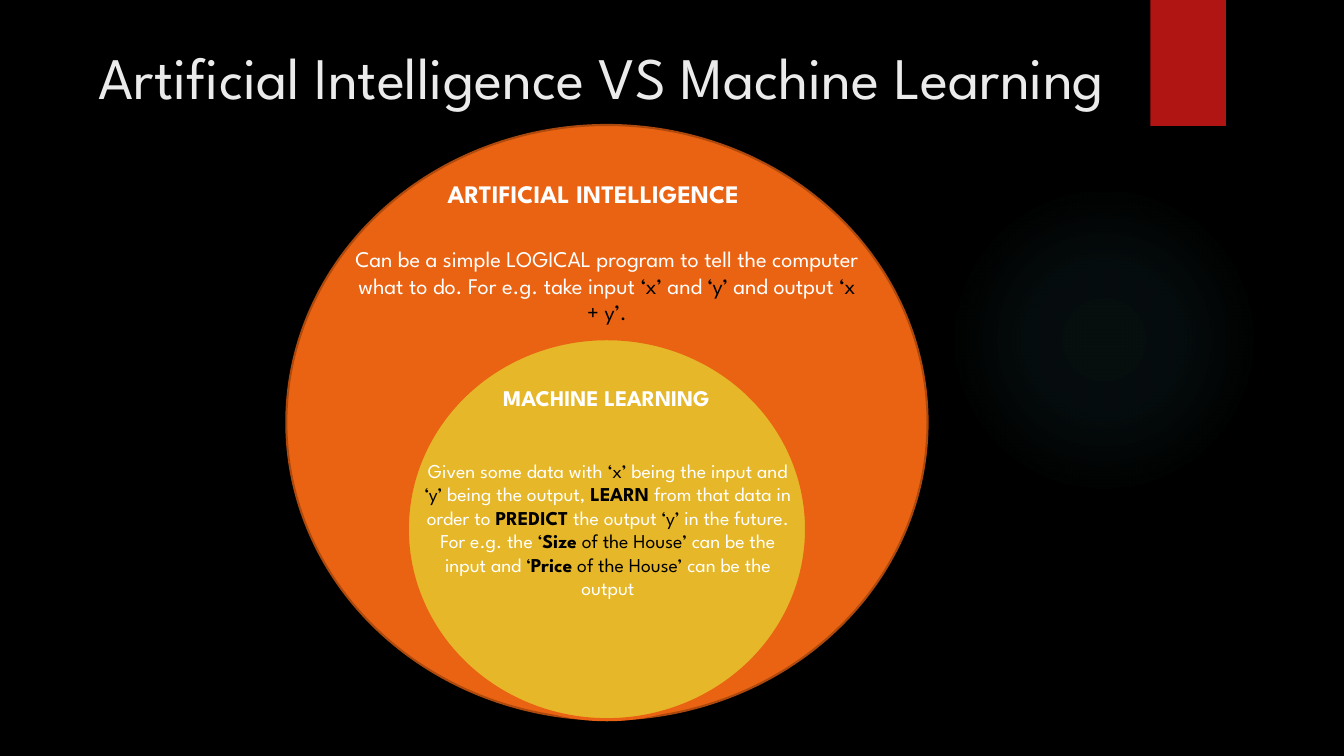
from dataclasses import dataclass

from lxml.etree import SubElement
from pptx import Presentation
from pptx.dml.color import RGBColor
from pptx.enum.shapes import MSO_SHAPE
from pptx.enum.text import MSO_ANCHOR, PP_ALIGN
from pptx.oxml.ns import qn
from pptx.shapes.autoshape import Shape
from pptx.slide import Slide
from pptx.text.text import _Paragraph
from pptx.util import Inches, Pt

FONT = "League Spartan"
COLORS = {
    "black": "000000",
    "white": "FFFFFF",
    "title": "EBEBEB",
    "glow": "50B9C1",
    "red": "B01513",
    "orange": "EA6312",
    "rust": "AD490D",
    "yellow": "E6B729",
}


@dataclass
class Block:
    left: float
    top: float
    width: float
    height: float


@dataclass
class Figure(Block):
    preset: MSO_SHAPE
    fill: str
    line: str = ""
    line_width: float = 0


@dataclass
class Span:
    text: str
    color: str = "white"
    bold: bool = False


@dataclass
class Label(Block):
    size: float
    spans: list[Span]


FIGURES = [
    Figure(11.41, 0, 0.75, 1.25, MSO_SHAPE.RECTANGLE, "red"),
    Figure(2.84, 1.24, 6.36, 5.9, MSO_SHAPE.OVAL, "orange", "rust", 1.5),
    Figure(4.04, 3.36, 3.96, 3.78, MSO_SHAPE.OVAL, "yellow", "orange", 2.25),
]

LABELS = [
    Label(3.76, 1.72, 4.25, 0.4, 18, [Span("ARTIFICIAL INTELLIGENCE", bold=True)]),
    Label(3.37, 2.38, 5.3, 0.91, 16, [
        Span("Can be a simple LOGICAL program to tell the computer what to do. "
             "For e.g. take input "),
        Span("‘x’ ", "black"),
        Span("and "),
        Span("‘y’", "black"),
        Span(" and output "),
        Span("‘x + y’.", "black"),
    ]),
    Label(4.51, 3.76, 3.01, 0.37, 16, [Span("MACHINE LEARNING", bold=True)]),
    Label(4.05, 4.5, 3.96, 1.75, 14, [
        Span("Given some data with "),
        Span("‘x’ ", "black"),
        Span("being the input and"),
        Span(" ‘y’ ", "black"),
        Span("being the output, "),
        Span("LEARN", "black", True),
        Span(" from that data in order to "),
        Span("PREDICT", "black", True),
        Span(" the output"),
        Span(" ‘y’", "black"),
        Span(" in the future. For e.g. the "),
        Span("‘", "black"),
        Span("Size", "black", True),
        Span(" of the House’", "black"),
        Span(" can be the input and "),
        Span("‘", "black"),
        Span("Price", "black", True),
        Span(" of the House’ ", "black"),
        Span("can be the output"),
    ]),
]


def rgb(name: str) -> RGBColor:
    return RGBColor.from_string(COLORS[name])


def add_text(para: _Paragraph, text: str, *, size: float, color: str,
             bold: bool = False) -> None:
    run = para.add_run()
    run.text = text
    run.font.name = FONT
    run.font.size = Pt(size)
    run.font.bold = bold
    run.font.color.rgb = rgb(color)


def add_figure(slide: Slide, figure: Figure) -> Shape:
    shape = slide.shapes.add_shape(
        figure.preset, Inches(figure.left), Inches(figure.top),
        Inches(figure.width), Inches(figure.height))
    shape.shadow.inherit = False
    shape.fill.solid()
    shape.fill.fore_color.rgb = rgb(figure.fill)
    if figure.line:
        shape.line.color.rgb = rgb(figure.line)
        shape.line.width = Pt(figure.line_width)
    else:
        shape.line.fill.background()
    return shape


def add_glow(slide: Slide) -> None:
    shape = add_figure(slide, Figure(9.41, 1.83, 3.08, 3.08, MSO_SHAPE.OVAL, "glow"))
    shape.fill.gradient()
    gradient = shape.element.spPr.find(qn("a:gradFill"))
    for child in list(gradient):
        gradient.remove(child)
    stops = SubElement(gradient, qn("a:gsLst"))
    for position, opacity in ((0, 7), (36, 6), (69, 0)):
        stop = SubElement(stops, qn("a:gs"), pos=str(position * 1000))
        color = SubElement(stop, qn("a:srgbClr"), val=COLORS["glow"])
        SubElement(color, qn("a:alpha"), val=str(opacity * 1000))
    circle = SubElement(gradient, qn("a:path"), path="circle")
    SubElement(circle, qn("a:fillToRect"), l="50000", t="50000", r="50000", b="50000")


def add_label(slide: Slide, label: Label) -> None:
    box = slide.shapes.add_textbox(
        Inches(label.left), Inches(label.top), Inches(label.width), Inches(label.height))
    box.text_frame.word_wrap = True
    para = box.text_frame.paragraphs[0]
    para.alignment = PP_ALIGN.CENTER
    for span in label.spans:
        add_text(para, span.text, size=label.size, color=span.color, bold=span.bold)


def set_title(slide: Slide, text: str) -> None:
    title = slide.shapes.title
    title.left, title.top = Inches(0.88), Inches(0.35)
    title.width, title.height = Inches(10.29), Inches(1.53)
    title.text_frame.word_wrap = True
    title.text_frame.vertical_anchor = MSO_ANCHOR.TOP
    para = title.text_frame.paragraphs[0]
    para.alignment = PP_ALIGN.LEFT
    add_text(para, text, size=42, color="title")


def main() -> None:
    deck = Presentation()
    deck.slide_width, deck.slide_height = Inches(13.33), Inches(7.5)
    slide = deck.slides.add_slide(deck.slide_layouts[5])
    slide.background.fill.solid()
    slide.background.fill.fore_color.rgb = rgb("black")
    set_title(slide, "Artificial Intelligence VS Machine Learning")
    add_glow(slide)
    for figure in FIGURES:
        add_figure(slide, figure)
    for label in LABELS:
        add_label(slide, label)
    deck.save("out.pptx")


if __name__ == "__main__":
    main()
